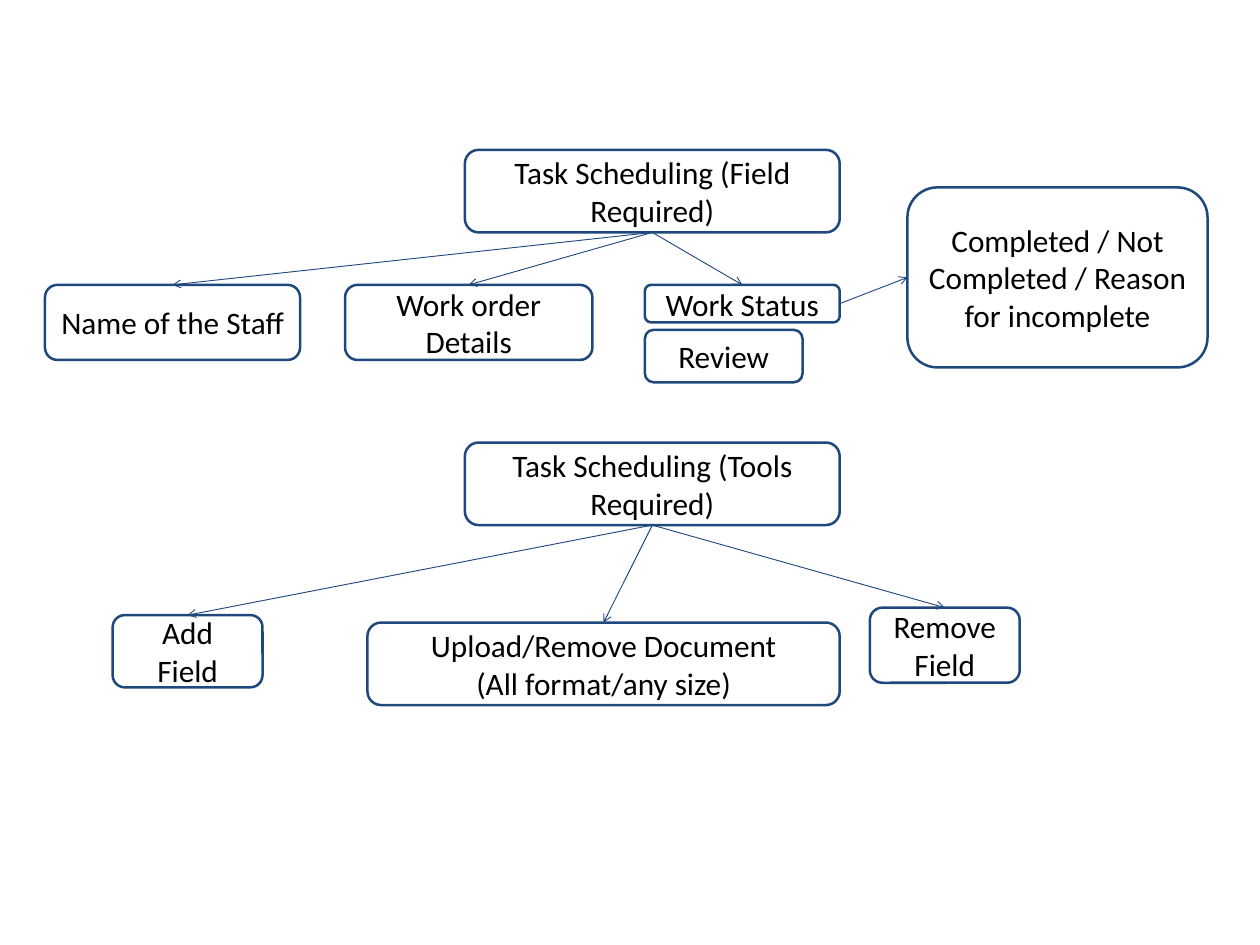
from lxml import etree
from pptx import Presentation
from pptx.dml.color import RGBColor
from pptx.enum.shapes import MSO_CONNECTOR, MSO_SHAPE
from pptx.enum.text import MSO_ANCHOR, PP_ALIGN
from pptx.oxml.ns import qn
from pptx.util import Cm, Pt

ROUNDED = MSO_SHAPE.ROUNDED_RECTANGLE
STRAIGHT = MSO_CONNECTOR.STRAIGHT
MIDDLE = MSO_ANCHOR.MIDDLE
CENTER = PP_ALIGN.CENTER
TOP, LEFT, BOTTOM, RIGHT = range(4)

COLORS = {"box": "FFFFFF", "outline": "1F497D", "text": "000000"}

HEADING_SIZE = (10.58, 2.33)
FIELD_ROW = 8.04

BOXES = {
    "fields": ("Task Scheduling (Field Required)", (13.12, 4.23), HEADING_SIZE),
    "tools": ("Task Scheduling (Tools Required)", (13.12, 12.49), HEADING_SIZE),
    "staff": ("Name of the Staff", (1.27, FIELD_ROW), (7.2, 2.12)),
    "order": ("Work order Details", (9.74, FIELD_ROW), (6.98, 2.12)),
    "status": ("Work Status", (18.2, FIELD_ROW), (5.5, 1.06)),
    "review": ("Review", (18.2, 9.31), (4.45, 1.48)),
    "outcome": ("Completed / Not Completed / Reason for incomplete",
                (25.61, 5.29), (8.47, 5.08)),
    "add": ("Add\vField", (3.18, 17.36), (4.23, 2.04)),
    "upload": ("Upload/Remove Document\n(All format/any size)",
               (10.37, 17.57), (13.33, 2.33)),
    "remove": ("Remove Field", (24.55, 17.15), (4.23, 2.12)),
}

BRANCHES = {
    "fields": ("staff", "order", "status"),
    "tools": ("add", "upload", "remove"),
}

FRAME_FORMAT = {
    "word_wrap": True,
    "vertical_anchor": MIDDLE,
    "margin_left": Cm(0.3),
    "margin_right": Cm(0.3),
    "margin_top": Cm(0.18),
    "margin_bottom": Cm(0.18),
}
FONT_FORMAT = {"name": "Calibri", "size": Pt(25)}


def color(part):
    return RGBColor.from_string(COLORS[part])


def apply_format(target, values):
    for attribute, value in values.items():
        setattr(target, attribute, value)


def style_line(line, width):
    line.color.rgb = color("outline")
    line.width = Pt(width)


def add_box(slide, label, position, size):
    box = slide.shapes.add_shape(ROUNDED, *map(Cm, position + size))
    box.shadow.inherit = False
    box.fill.solid()
    box.fill.fore_color.rgb = color("box")
    style_line(box.line, 2)
    frame = box.text_frame
    apply_format(frame, FRAME_FORMAT)
    frame.text = label
    for paragraph in frame.paragraphs:
        paragraph.alignment = CENTER
        apply_format(paragraph.font, FONT_FORMAT)
        paragraph.font.color.rgb = color("text")
    return box


def add_arrow(slide, source, source_side, target, target_side):
    arrow = slide.shapes.add_connector(STRAIGHT, 0, 0, 0, 0)
    arrow.begin_connect(source, source_side)
    arrow.end_connect(target, target_side)
    style_line(arrow.line, 0.75)
    etree.SubElement(arrow.line._get_or_add_ln(), qn("a:tailEnd"), type="arrow")
    etree.SubElement(arrow._element.spPr, qn("a:effectLst"))


def main():
    deck = Presentation()
    deck.slide_width, deck.slide_height = Cm(35.56), Cm(26.67)
    slide = deck.slides.add_slide(deck.slide_layouts[6])
    boxes = {key: add_box(slide, *content) for key, content in BOXES.items()}
    for heading, children in BRANCHES.items():
        for child in children:
            add_arrow(slide, boxes[heading], BOTTOM, boxes[child], TOP)
    add_arrow(slide, boxes["status"], RIGHT, boxes["outcome"], LEFT)
    deck.save("out.pptx")


if __name__ == "__main__":
    main()
